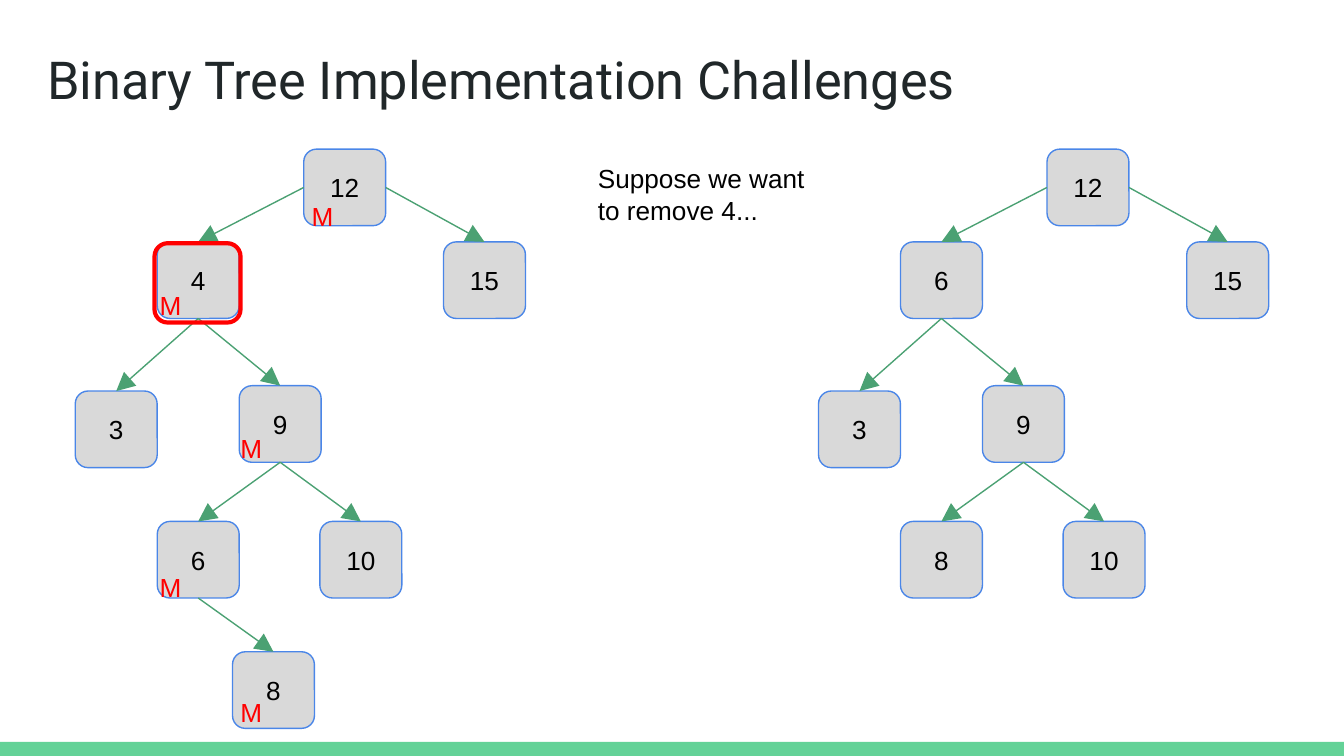
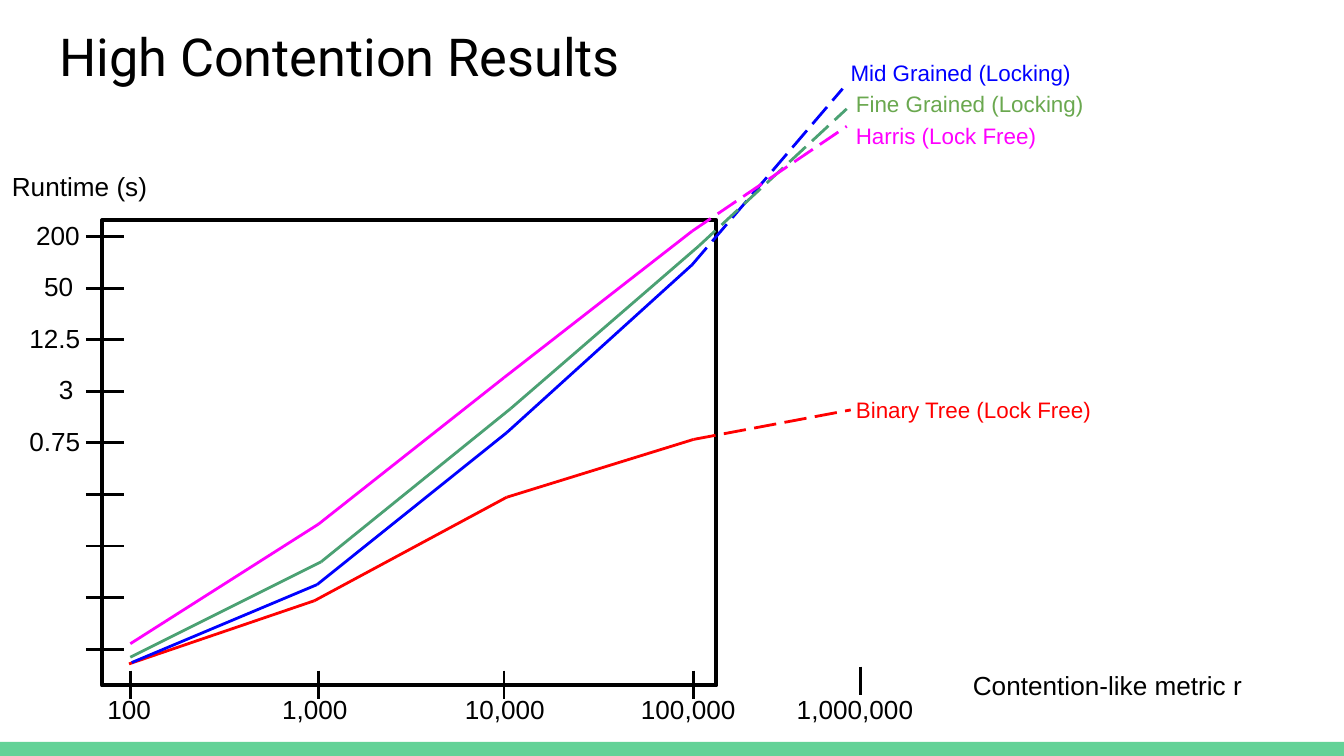
from dataclasses import dataclass

import pptx
import pptx.dml.color
import pptx.enum.dml
import pptx.enum.shapes
import pptx.enum.text
import pptx.oxml
import pptx.oxml.ns
import pptx.util
from pptx.util import Inches

BLACK = "000000"
INK = "202729"
BAND_GREEN = "63D297"
GREEN = "4BA173"
LABEL_GREEN = "6AA84F"
RED = "FF0000"
BLUE = "0000FF"
MAGENTA = "FF00FF"
NODE_FILL = "D9D9D9"
NODE_LINE = "4A86E8"

TITLE_FONT = "Roboto"
BODY_FONT = "Arial"
TITLE_ONLY = 5

SHAPE = pptx.enum.shapes.MSO_SHAPE
ALIGN = pptx.enum.text.PP_ALIGN
ANCHOR = pptx.enum.text.MSO_ANCHOR
TOP, LEFT, BOTTOM, RIGHT = range(4)

NODE_WIDTH, NODE_HEIGHT = 0.61, 0.57


@dataclass(frozen=True)
class Slot:
    """A place in the tree, and how it hangs from its parent."""
    x: float
    y: float
    parent: str = ""
    parent_side: int = BOTTOM


# Each slot is named by the turns taken from the root.
SLOTS = {
    "root": Slot(2.26, 1.11),
    "L": Slot(1.17, 1.8, "root", LEFT),
    "R": Slot(3.3, 1.8, "root", RIGHT),
    "LL": Slot(0.56, 2.91, "L"),
    "LR": Slot(1.78, 2.87, "L"),
    "LRL": Slot(1.17, 3.88, "LR"),
    "LRR": Slot(2.38, 3.88, "LR"),
    "LRLR": Slot(1.73, 4.85, "LRL"),
}
TREE_BEFORE = {"root": 12, "L": 4, "R": 15, "LL": 3, "LR": 9,
               "LRLR": 8, "LRL": 6, "LRR": 10}
TREE_AFTER = {"root": 12, "L": 6, "R": 15, "LL": 3, "LR": 9,
              "LRL": 8, "LRR": 10}
TREE_AFTER_OFFSET = 5.53
MARKS = [(2.22, 1.39), (1.09, 2.05), (1.69, 3.12), (1.09, 4.15), (1.69, 5.08)]


@dataclass(frozen=True)
class Series:
    """A runtime curve; its last segment is a projection."""
    name: str
    colour: str
    points: list[tuple[float, float]]
    label_at: tuple[float, float]
    label_width: float
    label_colour: str = ""


SERIES = [
    Series("Binary Tree (Lock Free)", RED,
           [(0.96, 4.94), (2.34, 4.47), (3.77, 3.7), (5.16, 3.27), (6.33, 3.05)],
           (6.27, 2.85), 2.29),
    Series("Mid Grained (Locking)", BLUE,
           [(0.98, 4.93), (2.36, 4.35), (3.77, 3.22), (5.15, 1.97), (6.27, 0.66)],
           (6.23, 0.34), 2.29),
    Series("Fine Grained (Locking)", GREEN,
           [(0.97, 4.89), (2.39, 4.18), (3.8, 3.04), (5.2, 1.83), (6.3, 0.81)],
           (6.27, 0.57), 2.09, LABEL_GREEN),
    Series("Harris (Lock Free)", MAGENTA,
           [(0.97, 4.79), (2.37, 3.9), (3.75, 2.81), (5.15, 1.72), (6.3, 0.94)],
           (6.27, 0.81), 1.57),
]


@dataclass(frozen=True)
class XTick:
    text: str
    x: float
    y: float
    label_x: float
    label_width: float


X_TICKS = [
    XTick("100", 0.97, 4.99, 0.7, 0.68),
    XTick("1,000", 2.37, 4.99, 2, 0.75),
    XTick("10,000", 3.75, 4.99, 3.36, 0.81),
    XTick("100,000", 5.16, 4.99, 4.67, 0.98),
    XTick("1,000,000", 6.4, 4.96, 5.83, 1.13),
]


@dataclass(frozen=True)
class YLabel:
    text: str
    x: float
    width: float = 0.64


Y_LABELS = [YLabel("200", 0.17, 0.54), YLabel("50", 0.23, 0.53),
            YLabel("12.5", 0.12), YLabel("3", 0.34), YLabel("0.75", 0.12)]
Y_TICK_COUNT = 9
Y_FIRST, Y_LAST = 1.76, 4.83


def rgb(colour: str) -> pptx.dml.color.RGBColor:
    return pptx.dml.color.RGBColor.from_string(colour)


def write(frame, text: str, size: float, colour: str, font: str = BODY_FONT):
    """Fill a text frame with one paragraph, and return the paragraph."""
    frame.word_wrap = True
    frame.auto_size = pptx.enum.text.MSO_AUTO_SIZE.NONE
    frame.vertical_anchor = ANCHOR.TOP
    frame.margin_left = frame.margin_right = Inches(0.1)
    frame.margin_top = frame.margin_bottom = Inches(0.1)
    paragraph = frame.paragraphs[0]
    paragraph.text = text
    paragraph.alignment = ALIGN.LEFT
    paragraph.font.name = font
    paragraph.font.size = pptx.util.Pt(size)
    paragraph.font.color.rgb = rgb(colour)
    return paragraph


def add_label(slide, text: str, x: float, y: float, width: float,
              height: float, size: float = 14, colour: str = BLACK) -> None:
    box = slide.shapes.add_textbox(Inches(x), Inches(y), Inches(width), Inches(height))
    write(box.text_frame, text, size, colour)


def add_box(slide, kind, x: float, y: float, width: float, height: float,
            fill: str = "", line: str = "", weight: float = 0.75):
    box = slide.shapes.add_shape(kind, Inches(x), Inches(y), Inches(width), Inches(height))
    box.shadow.inherit = False
    if fill:
        box.fill.solid()
        box.fill.fore_color.rgb = rgb(fill)
    else:
        box.fill.background()
    if line:
        box.line.color.rgb = rgb(line)
        box.line.width = pptx.util.Pt(weight)
    else:
        box.line.fill.background()
    return box


def add_line(slide, start: tuple[float, float], end: tuple[float, float],
             colour: str = BLACK, weight: float = 1.5, dashed: bool = False,
             arrow: bool = False):
    line = slide.shapes.add_connector(
        pptx.enum.shapes.MSO_CONNECTOR.STRAIGHT,
        *(Inches(value) for value in (*start, *end)))
    line.line.color.rgb = rgb(colour)
    line.line.width = pptx.util.Pt(weight)
    if dashed:
        line.line.dash_style = pptx.enum.dml.MSO_LINE.LONG_DASH
    properties = line._element.spPr
    if arrow:
        tail = pptx.oxml.parse_xml(
            f'<a:tailEnd {pptx.oxml.ns.nsdecls("a")} type="triangle" w="lg" len="lg"/>')
        properties.find(pptx.oxml.ns.qn("a:ln")).append(tail)
    properties.append(pptx.oxml.parse_xml(
        f'<a:effectLst {pptx.oxml.ns.nsdecls("a")}/>'))
    return line


def add_titled_slide(deck, title: str, x: float, y: float, colour: str):
    slide = deck.slides.add_slide(deck.slide_layouts[TITLE_ONLY])
    heading = slide.shapes.title
    heading.left, heading.top = Inches(x), Inches(y)
    heading.width, heading.height = Inches(9.32), Inches(0.63)
    write(heading.text_frame, title, 28, colour, TITLE_FONT)
    return slide


def move_band_to_master(deck, slide) -> None:
    """Draw the bottom band and hand it to the master, behind everything."""
    band = add_box(slide, SHAPE.RECTANGLE, 0, 5.52, 10, 0.11, BAND_GREEN)
    deck.slide_master.shapes._spTree.insert(2, band._element)


def draw_tree(slide, values: dict[str, int], offset: float = 0) -> None:
    nodes = {}
    for name, value in values.items():
        slot = SLOTS[name]
        node = add_box(slide, SHAPE.ROUNDED_RECTANGLE, slot.x + offset, slot.y,
                       NODE_WIDTH, NODE_HEIGHT, NODE_FILL, NODE_LINE)
        write(node.text_frame, str(value), 14, BLACK).alignment = ALIGN.CENTER
        node.text_frame.vertical_anchor = ANCHOR.MIDDLE
        nodes[name] = node
    for name, node in nodes.items():
        slot = SLOTS[name]
        if slot.parent:
            edge = add_line(slide, (0, 0), (1, 1), GREEN, 0.75, arrow=True)
            edge.begin_connect(nodes[slot.parent], slot.parent_side)
            edge.end_connect(node, TOP)


def build_tree_slide(deck):
    slide = add_titled_slide(deck, "Binary Tree Implementation Challenges",
                             0.25, 0.25, INK)
    draw_tree(slide, TREE_BEFORE)
    add_label(slide, "Suppose we want to remove 4...", 4.35, 1.11, 1.79, 0.63)
    draw_tree(slide, TREE_AFTER, TREE_AFTER_OFFSET)
    add_box(slide, SHAPE.ROUNDED_RECTANGLE, 1.15, 1.81, 0.64, 0.59,
            line=RED, weight=2.25)
    for x, y in MARKS:
        add_label(slide, "M", x, y, 0.42, 0.42, colour=RED)
    return slide


def build_results_slide(deck) -> None:
    slide = add_titled_slide(deck, "High Contention Results", 0.34, 0.08, BLACK)
    add_box(slide, SHAPE.RECTANGLE, 0.76, 1.64, 4.57, 3.46, line=BLACK, weight=2.25)

    for tick in X_TICKS:
        add_line(slide, (tick.x, tick.y), (tick.x, tick.y + 0.21))
    for series in SERIES:
        segments = list(zip(series.points, series.points[1:]))
        for start, end in segments:
            add_line(slide, start, end, series.colour,
                     dashed=(start, end) == segments[-1])
    for series in SERIES:
        add_label(slide, series.name, *series.label_at, series.label_width, 0.37,
                  12, series.label_colour or series.colour)
    for tick in X_TICKS:
        add_label(slide, tick.text, tick.label_x, 5.06, tick.label_width, 0.46)
    add_label(slide, "Contention-like metric r", 7.14, 4.88, 2.51, 0.37)

    y_step = (Y_LAST - Y_FIRST) / (Y_TICK_COUNT - 1)
    for row in range(Y_TICK_COUNT):
        y = Y_FIRST + row * y_step
        add_line(slide, (0.64, y), (0.92, y))
    for row, label in enumerate(Y_LABELS):
        add_label(slide, label.text, label.x, Y_FIRST - 0.23 + row * y_step,
                  label.width, 0.46)
    add_label(slide, "Runtime (s)", -0.01, 1.17, 1.34, 0.37)


def main() -> None:
    deck = pptx.Presentation()
    deck.slide_width = Inches(10)
    deck.slide_height = deck.slide_width * 9 // 16
    tree_slide = build_tree_slide(deck)
    move_band_to_master(deck, tree_slide)
    build_results_slide(deck)
    deck.save("out.pptx")


if __name__ == "__main__":
    main()
